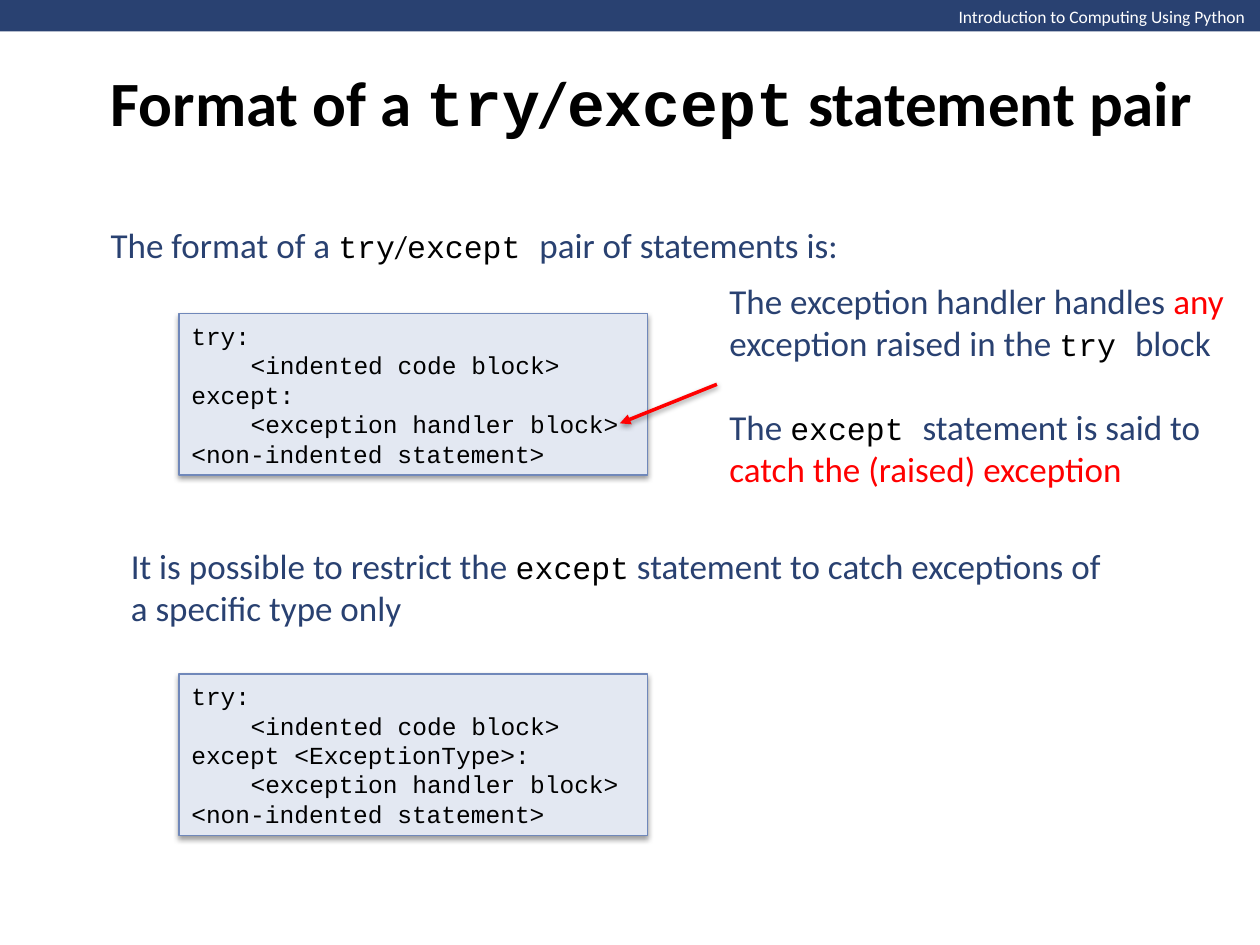
import pptx
import pptx.dml.color
import pptx.enum.shapes
import pptx.enum.text
import pptx.oxml
import pptx.oxml.ns
import pptx.util
from dataclasses import dataclass

Inches = pptx.util.Inches
Pt = pptx.util.Pt
RGB = pptx.dml.color.RGBColor.from_string


@dataclass(frozen=True)
class Theme:
    navy: str = "294171"
    black: str = "000000"
    white: str = "FFFFFF"
    red: str = "FF0000"
    code_fill: str = "E3E8F2"
    code_line: str = "7088BA"
    sans: str = "Calibri"
    mono: str = "Courier New"
    header_size: int = 10
    title_size: int = 36
    body_size: int = 20
    inline_size: int = 18
    code_size: int = 14


theme = Theme()

# Run styles: font, size, colour, bold
HEADER = (theme.sans, theme.header_size, theme.white, False)
TITLE = (theme.sans, theme.title_size, theme.black, True)
TITLE_CODE = (theme.mono, theme.title_size, theme.black, True)
BODY = (theme.sans, theme.body_size, theme.navy, False)
EMPHASIS = (theme.sans, theme.body_size, theme.red, False)
INLINE = (theme.mono, theme.inline_size, theme.black, False)
SLASH = (theme.sans, theme.inline_size, theme.black, False)
CODE = (theme.mono, theme.code_size, theme.black, False)


def write_text(frame, paragraphs, wrap=True, anchor="MIDDLE"):
    """Fill a text frame with paragraphs, each a list of (text, style) runs."""
    frame.word_wrap = wrap
    frame.auto_size = pptx.enum.text.MSO_AUTO_SIZE.NONE
    frame.vertical_anchor = pptx.enum.text.MSO_ANCHOR[anchor]
    for index, runs in enumerate(paragraphs):
        paragraph = frame.add_paragraph() if index else frame.paragraphs[0]
        paragraph.alignment = pptx.enum.text.PP_ALIGN.LEFT
        for text, (font, size, color, bold) in runs:
            run = paragraph.add_run()
            run.text = text
            run.font.name = font
            run.font.size = Pt(size)
            run.font.bold = bold
            run.font.color.rgb = RGB(color)


def add_shadow(shape):
    shape._element.spPr.append(pptx.oxml.parse_xml(
        f'<a:effectLst {pptx.oxml.ns.nsdecls("a")}>'
        f'<a:outerShdw blurRad="{Pt(3.1)}" dist="{Pt(1.6)}" dir="5400000" rotWithShape="0">'
        f'<a:srgbClr val="{theme.black}"><a:alpha val="38000"/></a:srgbClr>'
        '</a:outerShdw></a:effectLst>'))


presentation = pptx.Presentation()
presentation.slide_width = Inches(10)
presentation.slide_height = Inches(7.5)
slide = presentation.slides.add_slide(presentation.slide_layouts[5])
shapes = slide.shapes
rectangle = pptx.enum.shapes.MSO_SHAPE.RECTANGLE

# Header bar
bar = shapes.add_shape(rectangle, 0, 0, Inches(10.01), Inches(0.25))
bar.shadow.inherit = False
bar.fill.solid()
bar.fill.fore_color.rgb = RGB(theme.navy)
bar.line.fill.background()
header = shapes.add_textbox(Inches(7.51), 0, Inches(2.5), Inches(0.27))
write_text(header.text_frame, [[("Introduction to Computing Using Python", HEADER)]],
           wrap=False, anchor="TOP")

# Title
title = shapes.title
title.left, title.top = Inches(0.78), Inches(0)
title.width, title.height = Inches(9.24), Inches(1.61)
write_text(title.text_frame, [[
    ("Format of a ", TITLE), ("try", TITLE_CODE), ("/", TITLE),
    ("except", TITLE_CODE), (" statement pair", TITLE)]])

# Code boxes, which differ only in the except line
for top, except_line in ((2.49, "except:"), (5.35, "except <ExceptionType>:")):
    code_lines = [
        ("try:", False),
        ("<indented code block>", True),
        (except_line, False),
        ("<exception handler block>", True),
        ("<non-indented statement>", False),
    ]
    code_box = shapes.add_shape(rectangle, Inches(1.42), Inches(top), Inches(3.72), Inches(1.28))
    code_box.fill.solid()
    code_box.fill.fore_color.rgb = RGB(theme.code_fill)
    code_box.line.color.rgb = RGB(theme.code_line)
    code_box.line.width = Pt(0.75)
    add_shadow(code_box)
    write_text(code_box.text_frame, [[(text, CODE)] for text, _ in code_lines])
    for paragraph, (_, indented) in zip(code_box.text_frame.paragraphs, code_lines):
        if indented:
            properties = paragraph._p.get_or_add_pPr()
            properties.set("marL", str(Inches(0.47)))
            properties.set("indent", "0")

# Explanations
intro = shapes.add_textbox(Inches(0.78), Inches(1.72), Inches(6.11), Inches(0.44))
write_text(intro.text_frame, [[
    ("The format of a ", BODY), ("try", INLINE), ("/", SLASH),
    ("except ", INLINE), ("pair of statements is:", BODY)]], wrap=False)

handler_note = shapes.add_textbox(Inches(5.69), Inches(2.16), Inches(4.31), Inches(1.78))
write_text(handler_note.text_frame, [
    [("The exception handler handles ", BODY), ("any ", EMPHASIS),
     ("exception raised in the ", BODY), ("try ", INLINE), ("block", BODY)],
    [("The ", BODY), ("except ", INLINE), ("statement is said to ", BODY),
     ("catch the (raised) exception", EMPHASIS)]])
handler_note.text_frame.paragraphs[1].space_before = Pt(24)

restriction = shapes.add_textbox(Inches(0.94), Inches(4.27), Inches(7.97), Inches(0.77))
write_text(restriction.text_frame, [
    [("It is possible to restrict the ", BODY), ("except", INLINE),
     (" statement to catch exceptions of", BODY)],
    [("a specific type only", BODY)]], wrap=False)

# Arrow from the note to the exception handler block
arrow = shapes.add_connector(pptx.enum.shapes.MSO_CONNECTOR.STRAIGHT,
                             Inches(5.69), Inches(3.05), Inches(4.92), Inches(3.36))
arrow.line.color.rgb = RGB(theme.red)
arrow.line.width = Pt(2)
arrow.line._get_or_add_ln().append(pptx.oxml.parse_xml(
    f'<a:tailEnd {pptx.oxml.ns.nsdecls("a")} type="triangle"/>'))
add_shadow(arrow)

presentation.save("out.pptx")
